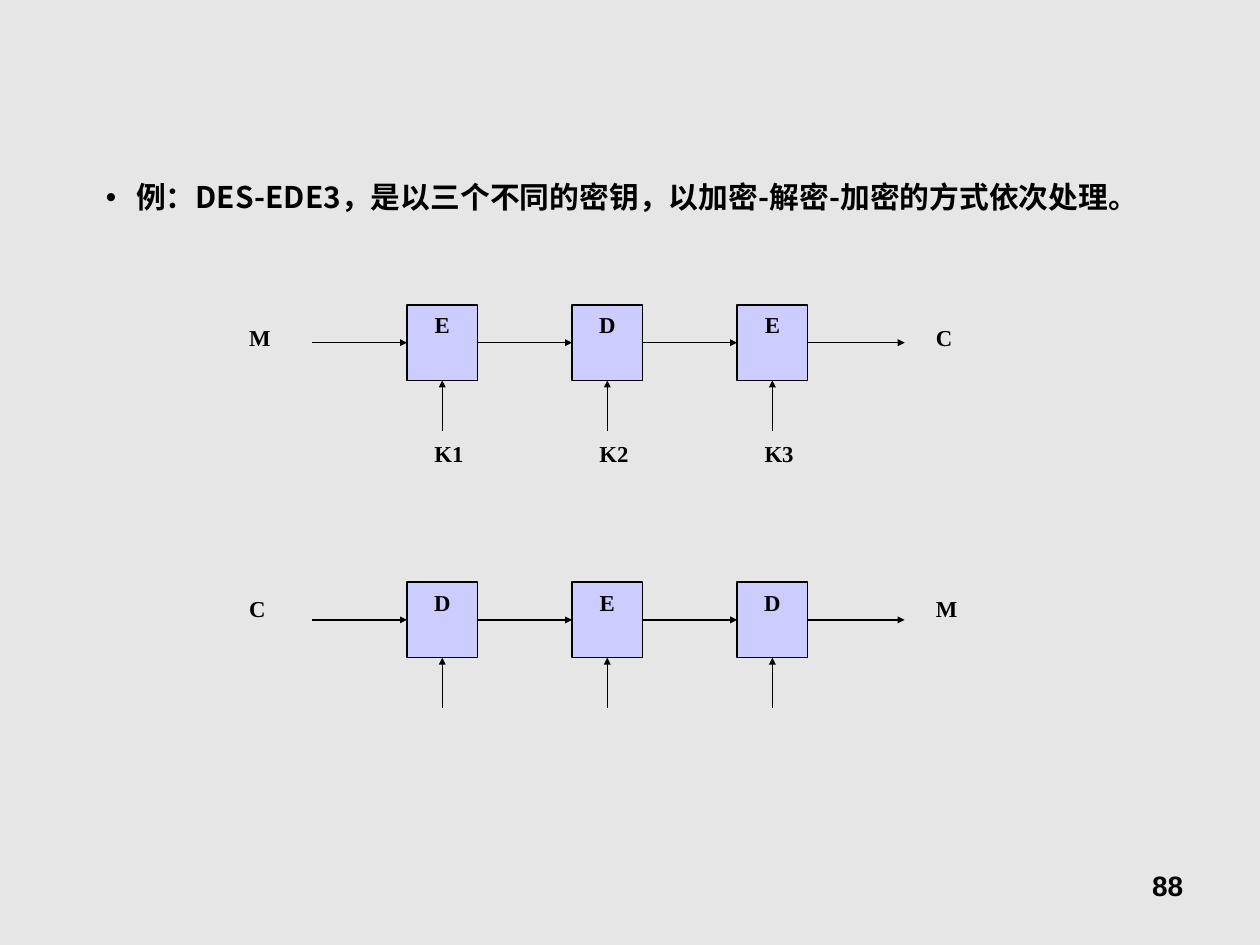
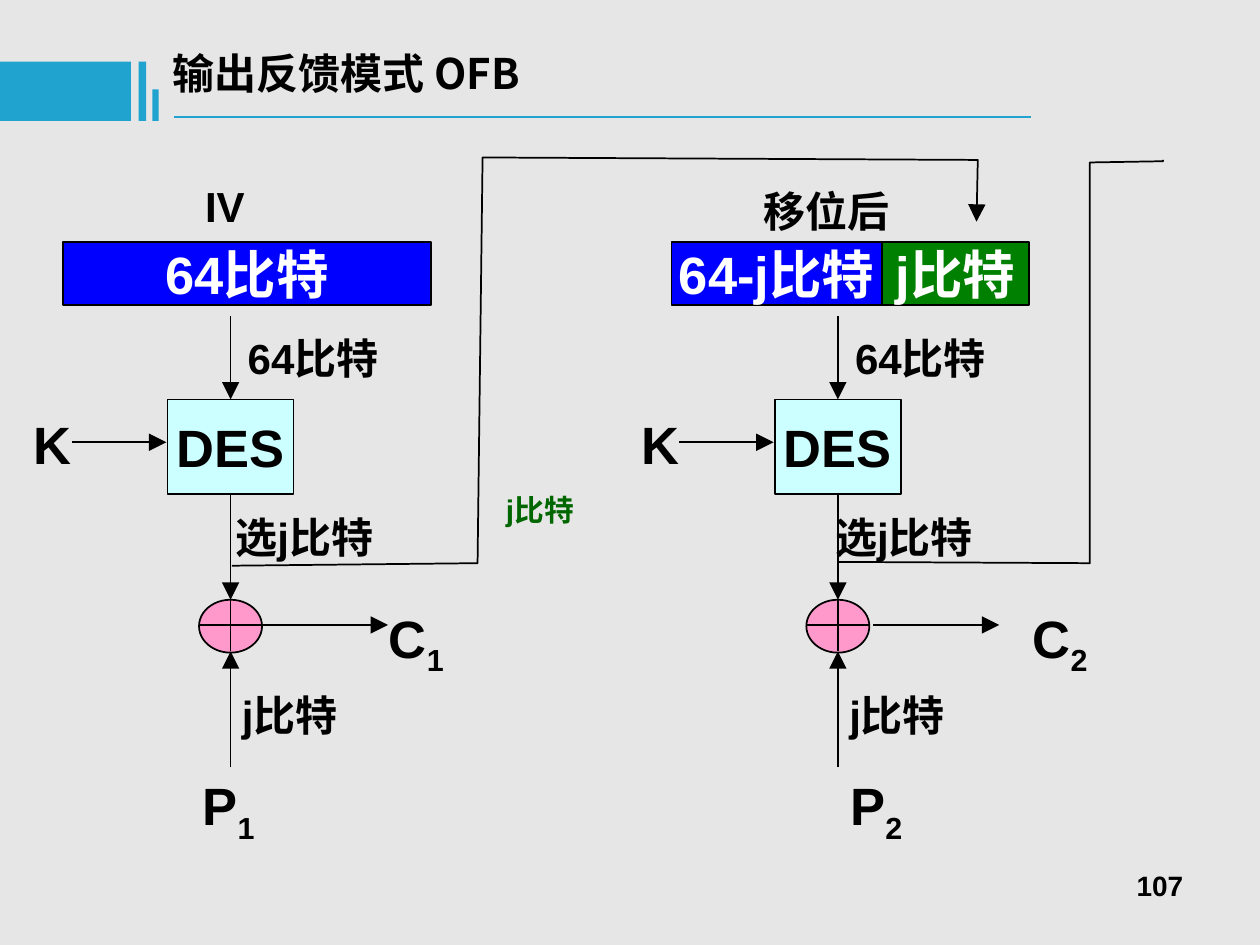
import pptx
import pptx.util
import pptx.dml.color
import pptx.enum.shapes
import pptx.enum.text
import pptx.oxml.ns
from lxml import etree

Inches = pptx.util.Inches
Pt = pptx.util.Pt
RGBColor = pptx.dml.color.RGBColor
MSO_SHAPE = pptx.enum.shapes.MSO_SHAPE
MSO_CONNECTOR = pptx.enum.shapes.MSO_CONNECTOR
MSO_ANCHOR = pptx.enum.text.MSO_ANCHOR
MSO_AUTO_SIZE = pptx.enum.text.MSO_AUTO_SIZE
PP_ALIGN = pptx.enum.text.PP_ALIGN
qn = pptx.oxml.ns.qn

BLACK = RGBColor(0x00, 0x00, 0x00)
WHITE = RGBColor(0xFF, 0xFF, 0xFF)
PAGE = RGBColor(0xE7, 0xE6, 0xE6)
ACCENT = RGBColor(0x21, 0xA3, 0xD0)
LILAC = RGBColor(0xCC, 0xCC, 0xFF)
ICE = RGBColor(0xCC, 0xFF, 0xFF)
PINK = RGBColor(0xFF, 0x99, 0xCC)
BLUE = RGBColor(0x00, 0x00, 0xFF)
GREEN = RGBColor(0x00, 0x80, 0x00)
DARK_GREEN = RGBColor(0x00, 0x66, 0x00)

SANS = "Arial"
SERIF = "Times New Roman"
CJK = "Noto Sans CJK SC"


def place(sp, box):
    sp.left, sp.top, sp.width, sp.height = (Inches(v) for v in box)


def write(tf, text, size, font=SANS, color=BLACK, align=PP_ALIGN.CENTER,
          anchor=MSO_ANCHOR.TOP, wrap=False, inset=(0.1, 0.05), sub=""):
    tf.auto_size = MSO_AUTO_SIZE.NONE
    tf.word_wrap = wrap
    tf.vertical_anchor = anchor
    tf.margin_left = tf.margin_right = Inches(inset[0])
    tf.margin_top = tf.margin_bottom = Inches(inset[1])
    p = tf.paragraphs[0]
    p.text = text
    p.alignment = align
    if sub:
        r = p.add_run()
        r.text = sub
        r.font._element.set("baseline", "-25000")
    for r in p.runs:
        r.font.size = Pt(size)
        r.font.bold = True
        r.font.name = font
        r.font.color.rgb = color
        etree.SubElement(r.font._element, qn("a:ea"), typeface=CJK)
    return p


def add_label(s, box, text, size, **style):
    sp = s.shapes.add_textbox(*(Inches(v) for v in box))
    write(sp.text_frame, text, size, **style)


def add_block(s, box, fill, line=1, kind=MSO_SHAPE.RECTANGLE):
    sp = s.shapes.add_shape(kind, *(Inches(v) for v in box))
    sp.shadow.inherit = False
    sp.fill.solid()
    sp.fill.fore_color.rgb = fill
    if line:
        sp.line.color.rgb = BLACK
        sp.line.width = Pt(line)
    else:
        sp.line.fill.background()
    return sp


def style_line(sp, width, head=None, color=BLACK):
    sp.line.color.rgb = color
    sp.line.width = Pt(width)
    if head:
        etree.SubElement(sp.line._get_or_add_ln(), qn("a:tailEnd"),
                         type="triangle", w=head, len=head)


def add_line(s, start, end, width=1, head=None, color=BLACK, begin=None, finish=None):
    cx = s.shapes.add_connector(MSO_CONNECTOR.STRAIGHT,
                                *(Inches(v) for v in (*start, *end)))
    if begin:
        cx.begin_connect(*begin)
    if finish:
        cx.end_connect(*finish)
    style_line(cx, width, head, color)
    etree.SubElement(cx._element.spPr, qn("a:effectLst"))


def add_feedback(s, points, head=None):
    pts = [(Inches(x), Inches(y)) for x, y in points]
    fb = s.shapes.build_freeform(*pts[0], scale=1.0)
    fb.add_line_segments(pts[1:], close=False)
    sp = fb.convert_to_shape()
    sp.shadow.inherit = False
    sp.fill.background()
    style_line(sp, 1, head)


def add_page_number(s, number):
    add_label(s, (7.17, 6.83, 2.33, 0.52), number, 16,
              align=PP_ALIGN.RIGHT, inset=(0.11, 0.06), wrap=True)


def add_title_band(s, text):
    title = s.shapes.title
    place(title, (1.27, 0.33, 6.84, 0.5))
    write(title.text_frame, text, 24, font=CJK, align=PP_ALIGN.LEFT, wrap=True)
    for bar in ((0, 0.49, 1.04, 0.47), (1.1, 0.49, 0.06, 0.47), (1.21, 0.71, 0.05, 0.25)):
        add_block(s, bar, ACCENT, line=None)
    add_line(s, (1.38, 0.93), (8.18, 0.93), 1.5, color=ACCENT)


def add_bullet(s, text):
    body = s.placeholders[1]
    place(body, (0.78, 1.25, 8.85, 0.49))
    p = write(body.text_frame, text, 17, font=CJK, align=PP_ALIGN.LEFT,
              wrap=True, inset=(0.06, 0.03))
    p.line_spacing = 1.5
    p.space_before = Pt(0)
    pPr = p._p.get_or_add_pPr()
    pPr.set("marL", str(Inches(0.24)))
    pPr.set("indent", str(-Inches(0.24)))
    etree.SubElement(pPr, qn("a:buChar"), char="•")


def add_cipher_chain(s, left, top, source, steps, result, label_dy, keys=()):
    pitch, w, h, reach = 1.31, 0.56, 0.6, 0.75
    first = left + 1.35
    mid = top + h / 2
    blocks = []
    for i, step in enumerate(steps):
        x = first + i * pitch
        sp = add_block(s, (x, top, w, h), LILAC, 0.75)
        write(sp.text_frame, step, 13, font=SERIF, wrap=True)
        add_line(s, (x + w / 2, top + 1), (x + w / 2, top + h), 0.75, "sm", finish=(sp, 2))
        add_line(s, (x - reach, mid), (x, mid), 0.75, "sm",
                 begin=(blocks[-1], 3) if blocks else None, finish=(sp, 1))
        blocks.append(sp)
    end = first + (len(steps) - 1) * pitch + w
    add_line(s, (end, mid), (end + 0.77, mid), 0.75, "sm", begin=(blocks[-1], 3))
    labels = [(left, top + label_dy, source), (left + 5.45, top + label_dy, result)]
    labels += [(first + 0.12 + i * pitch, top + 1.02, key) for i, key in enumerate(keys)]
    for x, y, text in labels:
        add_label(s, (x, y, w, h), text, 13, font=SERIF, align=PP_ALIGN.LEFT)


def add_register(s, box, text, fill):
    sp = add_block(s, box, fill)
    write(sp.text_frame, text, 30, color=WHITE, anchor=MSO_ANCHOR.MIDDLE)


def add_ofb_stage(s, axis, top, index, select_dx, out_dx, cipher_dx, plain_dx):
    des_y, xor_y, xor_mid, xor_end = top + 0.66, top + 2.25, top + 2.45, top + 2.66
    des = add_block(s, (axis - 0.5, des_y, 1, 0.75), ICE)
    write(des.text_frame, "DES", 30, anchor=MSO_ANCHOR.MIDDLE)
    xor = add_block(s, (axis - 0.25, xor_y, 0.5, 0.42), PINK, kind=MSO_SHAPE.OVAL)
    add_line(s, (axis - 0.25, xor_mid), (axis + 0.25, xor_mid))
    add_line(s, (axis, xor_y), (axis, xor_end))

    add_line(s, (axis, top), (axis, des_y), head="lg", finish=(des, 0))
    add_line(s, (axis - 1.26, top + 1), (axis - 0.51, top + 1), head="lg")
    add_line(s, (axis, top + 1.41), (axis, xor_y), head="lg", begin=(des, 2), finish=(xor, 0))
    add_line(s, (axis, top + 3.58), (axis, xor_end), head="lg")
    add_line(s, (axis + out_dx, xor_mid), (axis + out_dx + 1, xor_mid), head="lg")

    add_label(s, (axis - 1.66, top + 0.71, 0.5, 0.6), "K", 30)
    add_label(s, (axis, top + 0.08, 1.31, 0.5), "64比特", 24)
    add_label(s, (axis + select_dx, top + 1.5, 1.45, 0.5), "选j比特", 24)
    add_label(s, (axis - 0.05, top + 2.91, 1.04, 0.5), "j比特", 24)
    add_label(s, (axis + cipher_dx, top + 2.25, 0.63, 0.67), "C", 30, sub=index)
    add_label(s, (axis + plain_dx, top + 3.58, 0.61, 0.67), "P", 30, sub=index)


def build_ede3_slide(prs):
    s = prs.slides.add_slide(prs.slide_layouts[1])
    title = s.shapes.title._element
    title.getparent().remove(title)
    add_bullet(s, "例：DES-EDE3，是以三个不同的密钥，以加密-解密-加密的方式依次处理。")
    add_cipher_chain(s, 1.88, 2.42, "M", "EDE", "C", 0.1, ("K1", "K2", "K3"))
    add_cipher_chain(s, 1.88, 4.62, "C", "DED", "M", 0.05)
    add_page_number(s, "88")


def build_ofb_slide(prs):
    s = prs.slides.add_slide(prs.slide_layouts[5])
    add_title_band(s, "输出反馈模式 OFB")
    add_label(s, (1.53, 1.38, 0.51, 0.5), "IV", 24)
    add_label(s, (5.96, 1.42, 1.2, 0.5), "移位后", 24)
    add_register(s, (0.5, 1.92, 2.92, 0.5), "64比特", BLUE)
    add_register(s, (5.33, 1.92, 1.67, 0.5), "64-j比特", BLUE)
    add_register(s, (7, 1.92, 1.17, 0.5), "j比特", GREEN)
    add_ofb_stage(s, 1.83, 2.51, "1", -0.14, 0.25, 1.16, -0.32)
    add_ofb_stage(s, 6.65, 2.51, "2", -0.2, 0.28, 1.45, 0)
    add_feedback(s, ((1.84, 4.49), (3.79, 4.47), (3.83, 1.25), (7.76, 1.27), (7.75, 1.76)), "lg")
    add_feedback(s, ((6.65, 4.46), (8.65, 4.47), (8.65, 1.29), (9.23, 1.28), (9.23, 1.27)))
    add_label(s, (3.89, 3.85, 0.79, 0.39), "j比特", 17, color=DARK_GREEN)
    add_page_number(s, "107")


def main():
    prs = pptx.Presentation()
    prs.slide_width, prs.slide_height = Inches(10), Inches(7.5)
    bg = prs.slide_master.background.fill
    bg.solid()
    bg.fore_color.rgb = PAGE
    build_ede3_slide(prs)
    build_ofb_slide(prs)
    prs.save("out.pptx")


if __name__ == "__main__":
    main()
